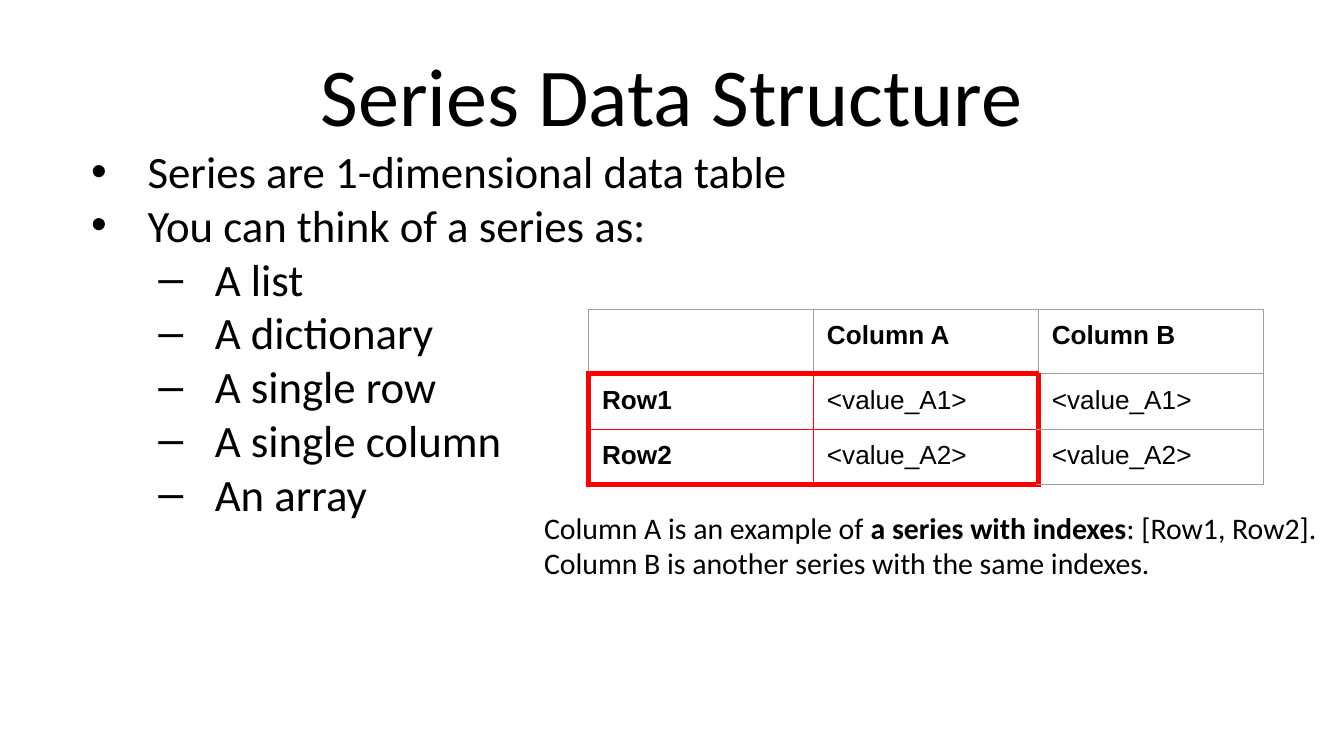
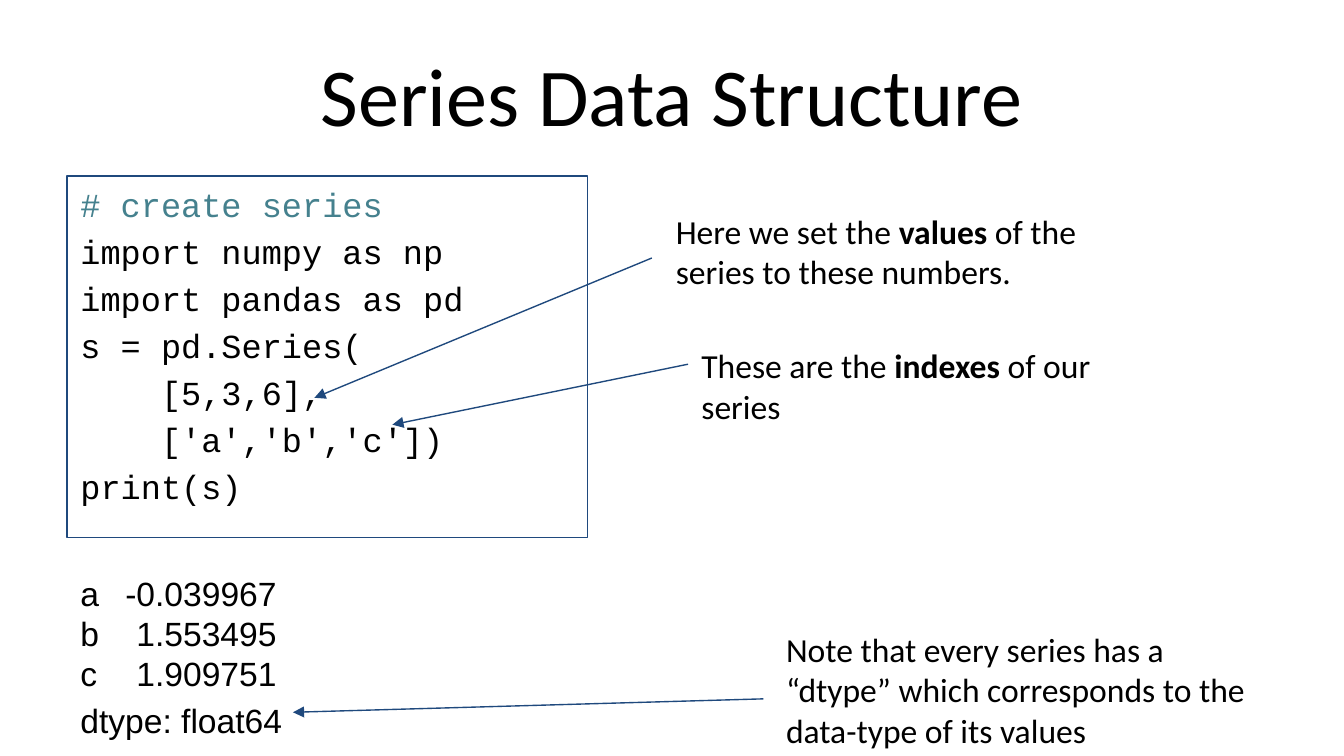
"""Build two slides that introduce the Series data structure."""
from dataclasses import dataclass

from lxml.etree import SubElement
from pptx import Presentation
from pptx.dml.color import RGBColor as Rgb
from pptx.enum.shapes import MSO_CONNECTOR as Connector
from pptx.enum.text import MSO_ANCHOR as Anchor, MSO_AUTO_SIZE as AutoSize, PP_ALIGN as Align
from pptx.oxml.ns import qn
from pptx.util import Inches, Pt


@dataclass(frozen=True)
class Theme:
    """Colours, fonts, type sizes and line widths of the deck."""
    ink: str = "000000"
    comment: str = "45818E"
    accent: str = "1F497D"
    grid: str = "9E9E9E"
    outline: str = "FF0000"
    prose: str = "Calibri"
    data: str = "Arial"
    code: str = "Courier New"
    title_size: int = 44
    bullet_size: int = 24
    text_size: int = 18
    caption_size: int = 16
    cell_size: int = 14
    thin: float = 0.75
    thick: float = 3


@dataclass(frozen=True)
class Box:
    """A region of the slide, in inches."""
    left: float
    top: float
    width: float
    height: float

    def lengths(self):
        """Return left, top, width and height as lengths."""
        return [Inches(n) for n in (self.left, self.top, self.width, self.height)]


THEME = Theme()
SLIDE_WIDTH = 10
SLIDE_HEIGHT = SLIDE_WIDTH * 9 / 16
TITLE = "Series Data Structure"
TITLE_BOX = Box(0.5, 0.23, 9, 0.94)
BULLETS = [
    (0, "Series are 1-dimensional data table"),
    (0, "You can think of a series as:"),
    (1, "A list"),
    (1, "A dictionary"),
    (1, "A single row"),
    (1, "A single column"),
    (1, "An array"),
]
GRID = [
    ["", "Column A", "Column B"],
    ["Row1", "<value_A1>", "<value_A1>"],
    ["Row2", "<value_A2>", "<value_A2>"],
]
SERIES_CELLS = {(row, col) for row in (1, 2) for col in (0, 1)}
EDGES = {"lnL": (0, -1), "lnR": (0, 1), "lnT": (-1, 0), "lnB": (1, 0)}
CAPTION = [
    ["Column A is an example of ", "a series with indexes", ": [Row1, Row2]."],
    ["Column B is another series with the same indexes."],
]
CODE = [
    "# create series",
    "import numpy as np",
    "import pandas as pd",
    "s = pd.Series(",
    "    [5,3,6],",
    "    ['a','b','c'])",
    "print(s)",
]
OUTPUT = ["a\t-0.039967", "b\t1.553495", "c\t1.909751", "dtype: float64"]
CALLOUTS = [
    (Box(4.93, 1.47, 3.71, 0.94),
     ["Here we set the ", "values", " of the series to these numbers."],
     (4.85, 1.92), (2.34, 2.96)),
    (Box(5.12, 2.47, 3.71, 0.94),
     ["These are the ", "indexes", " of our series"],
     (5.12, 2.71), (2.92, 3.16)),
    (Box(5.75, 4.58, 3.71, 0.94),
     ["Note that every series has a “dtype” which corresponds to the data-type of its values"],
     (5.68, 5.2), (2.18, 5.3)),
]


def style(paragraph, face, size, colour=THEME.ink):
    """Set the font that all runs of a paragraph share."""
    font = paragraph.font
    font.name, font.size = face, Pt(size)
    font.color.rgb = Rgb.from_string(colour)


def add_text_box(slide, box, inset=0.1):
    """Add an empty wrapping text box."""
    holder = slide.shapes.add_textbox(*box.lengths())
    frame = holder.text_frame
    frame.word_wrap = True
    frame.margin_left = frame.margin_right = Inches(0.1)
    frame.margin_top = frame.margin_bottom = Inches(inset)
    return holder


def add_paragraphs(frame, count):
    """Return the given number of paragraphs of an empty frame."""
    return [frame.paragraphs[0]] + [frame.add_paragraph() for _ in range(count - 1)]


def add_prose(slide, box, lines, size):
    """Add text in which every second segment of a line is bold."""
    frame = add_text_box(slide, box).text_frame
    for paragraph, segments in zip(add_paragraphs(frame, len(lines)), lines):
        style(paragraph, THEME.prose, size)
        for index, segment in enumerate(segments):
            run = paragraph.add_run()
            run.text = segment
            if index % 2:
                run.font.bold = True


def add_titled_slide(deck):
    """Add a title-only slide with the shared heading."""
    slide = deck.slides.add_slide(deck.slide_layouts[5])
    heading = slide.shapes.title
    heading.left, heading.top, heading.width, heading.height = TITLE_BOX.lengths()
    frame = heading.text_frame
    frame.text = TITLE
    frame.auto_size = AutoSize.NONE
    frame.vertical_anchor = Anchor.MIDDLE
    frame.paragraphs[0].alignment = Align.CENTER
    style(frame.paragraphs[0], THEME.prose, THEME.title_size)
    return slide


def add_bullets(slide, box):
    """Add the two-level bullet list."""
    frame = add_text_box(slide, box, 0.05).text_frame
    for paragraph, (level, text) in zip(add_paragraphs(frame, len(BULLETS)), BULLETS):
        paragraph.text = text
        paragraph.level = level
        props = paragraph._p.get_or_add_pPr()
        props.set("marL", str(Inches(0.5 * (level + 1))))
        props.set("indent", str(Inches(-0.42)))
        SubElement(props, qn("a:buFont"), typeface=THEME.data)
        SubElement(props, qn("a:buChar"), char="•–"[level])
        style(paragraph, THEME.prose, THEME.bullet_size)


def draw_edges(cell, row, col):
    """Draw cell borders, thick where the series meets other cells."""
    inside = (row, col) in SERIES_CELLS
    for tag, (down, across) in EDGES.items():
        beyond = (row + down, col + across) in SERIES_CELLS
        colour = THEME.outline if inside or beyond else THEME.grid
        width = THEME.thick if inside != beyond else THEME.thin
        edge = SubElement(cell._tc.get_or_add_tcPr(), qn(f"a:{tag}"), w=str(Pt(width)))
        fill = SubElement(edge, qn("a:solidFill"))
        SubElement(fill, qn("a:srgbClr"), val=colour)


def add_series_table(slide, box):
    """Add the table in which one series is outlined."""
    table = slide.shapes.add_table(len(GRID), len(GRID[0]), *box.lengths()).table
    table.first_row = table.horz_banding = False
    for row, texts in enumerate(GRID):
        for col, text in enumerate(texts):
            cell = table.cell(row, col)
            cell.margin_left = cell.margin_right = Inches(0.1)
            cell.margin_top = cell.margin_bottom = Inches(0.09)
            draw_edges(cell, row, col)
            cell.fill.background()
            if text:
                cell.text = text
                paragraph = cell.text_frame.paragraphs[0]
                style(paragraph, THEME.data, THEME.cell_size)
                paragraph.font.bold = row == 0 or col == 0


def add_code(slide, box):
    """Add the framed code listing."""
    listing = add_text_box(slide, box, 0.06)
    listing.line.color.rgb = Rgb.from_string(THEME.accent)
    listing.line.width = Pt(THEME.thin)
    for index, paragraph in enumerate(add_paragraphs(listing.text_frame, len(CODE))):
        paragraph.text = CODE[index]
        if index:
            paragraph.space_before = Pt(3.6)
        colour = THEME.comment if CODE[index].startswith("#") else THEME.ink
        style(paragraph, THEME.code, THEME.text_size, colour)


def add_output(slide, box):
    """Add the printed series with right-aligned values."""
    paragraphs = add_paragraphs(add_text_box(slide, box).text_frame, len(OUTPUT))
    for paragraph, text in zip(paragraphs, OUTPUT):
        paragraph.text = text
        if "\t" in text:
            stops = SubElement(paragraph._p.get_or_add_pPr(), qn("a:tabLst"))
            SubElement(stops, qn("a:tab"), pos=str(Inches(1.46)), algn="r")
        style(paragraph, THEME.data, THEME.text_size)
    paragraphs[-1].line_spacing = 1.15


def add_callout(slide, box, segments, start, end):
    """Add a remark and the arrow from it to what it explains."""
    ends = [Inches(n) for n in (*start, *end)]
    arrow = slide.shapes.add_connector(Connector.STRAIGHT, *ends)
    arrow.line.color.rgb = Rgb.from_string(THEME.accent)
    arrow.line.width = Pt(THEME.thin)
    SubElement(arrow.line._get_or_add_ln(), qn("a:tailEnd"), type="triangle")
    SubElement(arrow._element.spPr, qn("a:effectLst"))
    add_prose(slide, box, [segments], THEME.text_size)


def build_concept_slide(deck):
    """Build the slide that says what a series is."""
    slide = add_titled_slide(deck)
    add_bullets(slide, Box(0.5, 1.02, 5.83, 3.71))
    add_series_table(slide, Box(4.38, 2.3, 5.02, 0.99))
    add_prose(slide, Box(3.95, 3.69, 5.99, 0.94), CAPTION, THEME.caption_size)


def build_code_slide(deck):
    """Build the slide that creates and prints a series."""
    slide = add_titled_slide(deck)
    add_code(slide, Box(0.5, 1.31, 3.87, 2.69))
    add_output(slide, Box(0.5, 4.16, 3.28, 1.46))
    for callout in CALLOUTS:
        add_callout(slide, *callout)


def main():
    """Build and save the deck."""
    deck = Presentation()
    deck.slide_width, deck.slide_height = Inches(SLIDE_WIDTH), Inches(SLIDE_HEIGHT)
    build_concept_slide(deck)
    build_code_slide(deck)
    deck.save("out.pptx")


if __name__ == "__main__":
    main()
